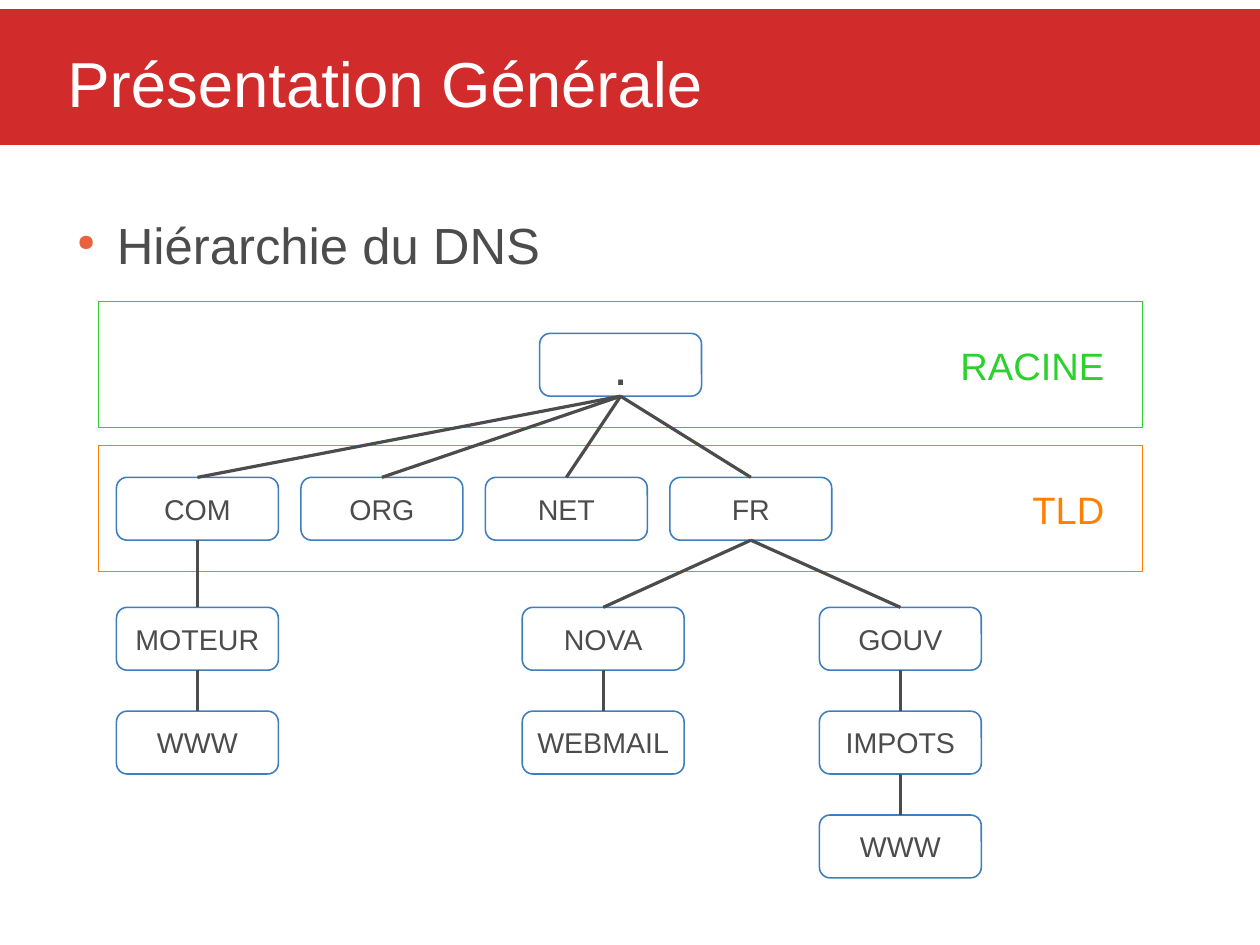
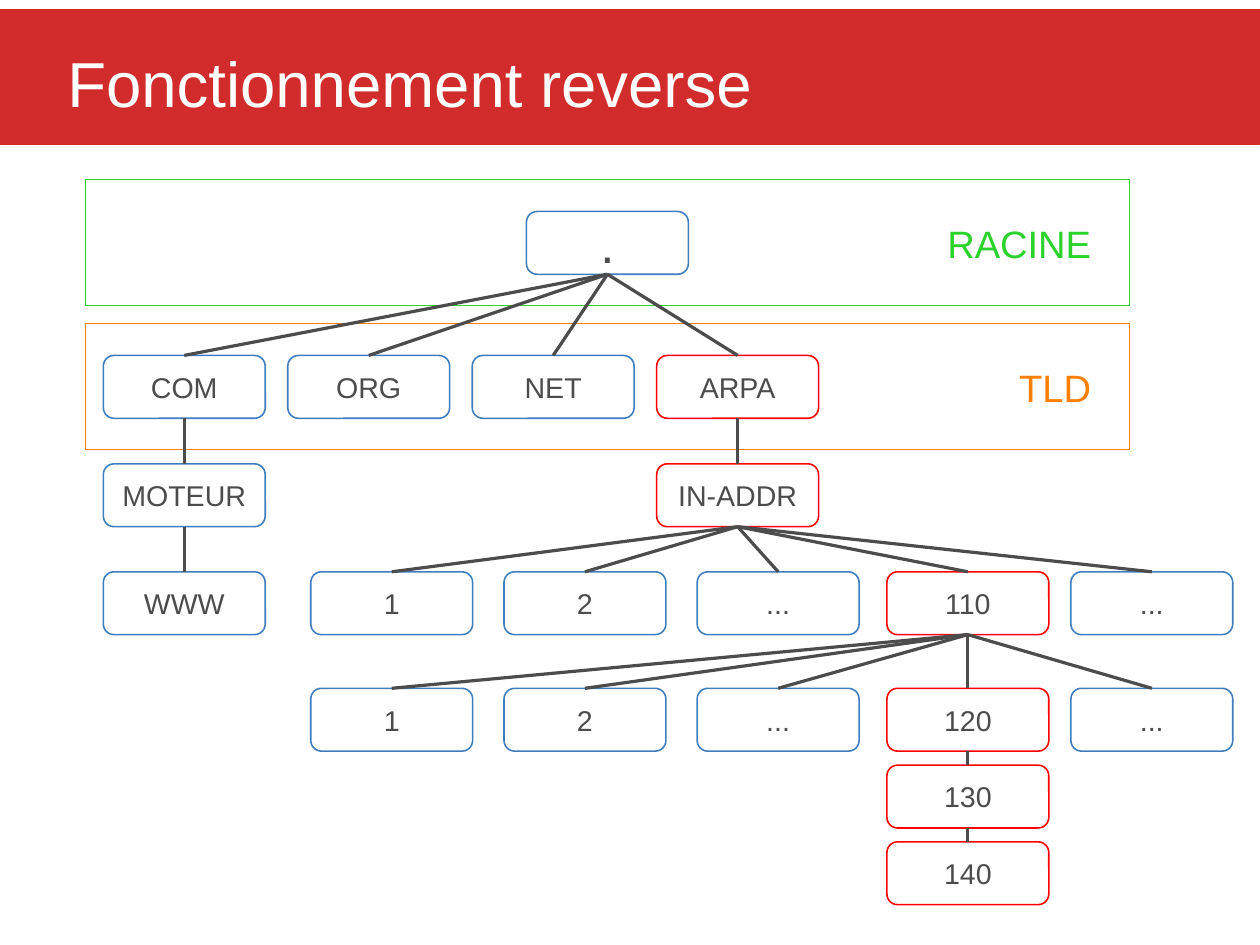
from lxml import etree
from pptx import Presentation
from pptx.dml.color import RGBColor
from pptx.enum.shapes import MSO_CONNECTOR, MSO_SHAPE
from pptx.enum.text import MSO_ANCHOR, PP_ALIGN
from pptx.oxml.ns import qn
from pptx.util import Pt

RECTANGLE, ROUNDED = MSO_SHAPE.RECTANGLE, MSO_SHAPE.ROUNDED_RECTANGLE
STRAIGHT = MSO_CONNECTOR.STRAIGHT
MIDDLE = MSO_ANCHOR.MIDDLE
LEFT, CENTER, RIGHT = PP_ALIGN.LEFT, PP_ALIGN.CENTER, PP_ALIGN.RIGHT
BOTTOM_SITE, TOP_SITE = 2, 0

FONT = "Arial"
RED, WHITE, GREY = "D22B2B", "FFFFFF", "4C4C4C"
BLUE, HIGHLIGHT, BULLET = "3F7EBE", "FF0000", "EB613D"
LEVELS = [("RACINE", "2BD22B"), ("TLD", "FF7F00")]

SLIDE_WIDTH, SLIDE_HEIGHT = 793.7, 595.3
TITLE_TOP, TITLE_HEIGHT = 5.8, 85
LEVEL_WIDTH, LEVEL_HEIGHT, LEVEL_STEP = 657.5, 79.4, 90.7
NODE_WIDTH, NODE_HEIGHT = 102, 39.6
NODE_INSET = (LEVEL_HEIGHT - NODE_HEIGHT) / 2
TLD_INSET, TLD_STEP = 11.2, 116.2


def node(label, *children, left=None, color=BLUE):
    """Describe a tree node; without a left edge it stands below its parent."""
    return {"label": label, "children": children, "left": left, "color": color}


def numbered_row(number, *below):
    """Five sibling nodes, the fourth one highlighted."""
    labels = ["1", "2", "...", number, "..."]
    lefts = [195.8, 317.5, 439.2, 558.7, 674.6]
    return [node(label, *below, left=left, color=HIGHLIGHT) if label == number
            else node(label, left=left) for label, left in zip(labels, lefts)]


SEARCH_BRANCH = node("COM", node("MOTEUR", node("WWW")))
ADDRESS_END = node("130", node("140", color=HIGHLIGHT), color=HIGHLIGHT)
ADDRESSES = numbered_row("110", *numbered_row("120", ADDRESS_END))

SLIDES = [
    {
        "title": "Présentation Générale",
        "bullet": "Hiérarchie du DNS",
        "origin": (62.2, 190.1),
        "lower_tops": [382.6, 448, 513.4],
        "domains": [
            SEARCH_BRANCH, node("ORG"), node("NET"),
            node("FR",
                 node("NOVA", node("WEBMAIL"), left=329),
                 node("GOUV", node("IMPOTS", node("WWW")), left=516.2)),
        ],
    },
    {
        "title": "Fonctionnement reverse",
        "bullet": None,
        "origin": (53.9, 113.3),
        "lower_tops": [292.2, 360.2, 433.6, 482, 530.3],
        "domains": [
            SEARCH_BRANCH, node("ORG"), node("NET"),
            node("ARPA", node("IN-ADDR", *ADDRESSES, color=HIGHLIGHT),
                 color=HIGHLIGHT),
        ],
    },
]


def rgb(color):
    return RGBColor.from_string(color)


def write(shape, text, size, color, align, insets, wrap=True):
    """Fill a shape with one paragraph; insets are left, top, right, bottom."""
    frame = shape.text_frame
    frame.text = text
    frame.word_wrap = wrap
    frame.margin_left, frame.margin_top, frame.margin_right, frame.margin_bottom = map(Pt, insets)
    paragraph = frame.paragraphs[0]
    paragraph.alignment = align
    font = paragraph.runs[0].font
    font.name, font.size = FONT, Pt(size)
    font.color.rgb = rgb(color)
    return paragraph


def add_box(slide, kind, box, fill, line, line_width=0):
    shape = slide.shapes.add_shape(kind, *map(Pt, box))
    shape.shadow.inherit = False
    shape.fill.solid()
    shape.fill.fore_color.rgb = rgb(fill)
    shape.line.color.rgb = rgb(line)
    shape.line.width = Pt(line_width)
    shape.text_frame.vertical_anchor = MIDDLE
    return shape


def add_title(slide, text):
    band = add_box(slide, RECTANGLE, (0, TITLE_TOP, SLIDE_WIDTH, TITLE_HEIGHT), RED, RED)
    write(band, text, 40, WHITE, LEFT, (42.5, 21.4, 14.4, 14.4))


def add_bullet(slide, text):
    box = slide.shapes.add_textbox(Pt(39.6), Pt(134.5), Pt(714), Pt(40))
    paragraph = write(box, text, 32, GREY, LEFT, (0, 0, 0, 0))
    properties = paragraph._p.get_or_add_pPr()
    properties.set("marL", str(Pt(34)))
    properties.set("indent", str(Pt(-25)))
    color = etree.SubElement(properties, qn("a:buClr"))
    etree.SubElement(color, qn("a:srgbClr"), val=BULLET)
    etree.SubElement(properties, qn("a:buSzPct"), val="45000")
    etree.SubElement(properties, qn("a:buChar"), char="●")


def add_levels(slide, left, top):
    for index, (label, color) in enumerate(LEVELS):
        box = (left, top + index * LEVEL_STEP, LEVEL_WIDTH, LEVEL_HEIGHT)
        write(add_box(slide, RECTANGLE, box, WHITE, color),
              label, 24, color, RIGHT, (7.2, 3.6, 24, 3.6))


def add_link(slide, parent, child):
    link = slide.shapes.add_connector(STRAIGHT, 0, 0, 0, 0)
    link.begin_connect(parent, BOTTOM_SITE)
    link.end_connect(child, TOP_SITE)
    link.line.color.rgb = rgb(GREY)
    link.line.width = Pt(0)
    etree.SubElement(link._element.spPr, qn("a:effectLst"))


def add_tree(slide, branch, left, tops, size=18):
    """Draw a node at the first top, then its children at the following ones."""
    shape = add_box(slide, ROUNDED, (left, tops[0], NODE_WIDTH, NODE_HEIGHT),
                    WHITE, branch["color"], 1)
    shape.adjustments[0] = 0.17
    write(shape, branch["label"], size, GREY, CENTER, (8, 4.3, 8, 4.3), wrap=False)
    for child in branch["children"]:
        child_left = left if child["left"] is None else child["left"]
        add_link(slide, shape, add_tree(slide, child, child_left, tops[1:]))
    return shape


def add_hierarchy(slide, origin, lower_tops, domains):
    left, top = origin
    add_levels(slide, left, top)
    root_top = top + NODE_INSET
    tld_tops = [root_top + LEVEL_STEP] + lower_tops
    root_left = left + (LEVEL_WIDTH - NODE_WIDTH) / 2
    root = add_tree(slide, node("."), root_left, [root_top], size=32)
    for index, domain in enumerate(domains):
        domain_left = left + TLD_INSET + index * TLD_STEP
        add_link(slide, root, add_tree(slide, domain, domain_left, tld_tops))


def main():
    presentation = Presentation()
    presentation.slide_width = Pt(SLIDE_WIDTH)
    presentation.slide_height = Pt(SLIDE_HEIGHT)
    for content in SLIDES:
        slide = presentation.slides.add_slide(presentation.slide_layouts[6])
        add_title(slide, content["title"])
        if content["bullet"]:
            add_bullet(slide, content["bullet"])
        add_hierarchy(slide, content["origin"], content["lower_tops"], content["domains"])
    presentation.save("out.pptx")


if __name__ == "__main__":
    main()
